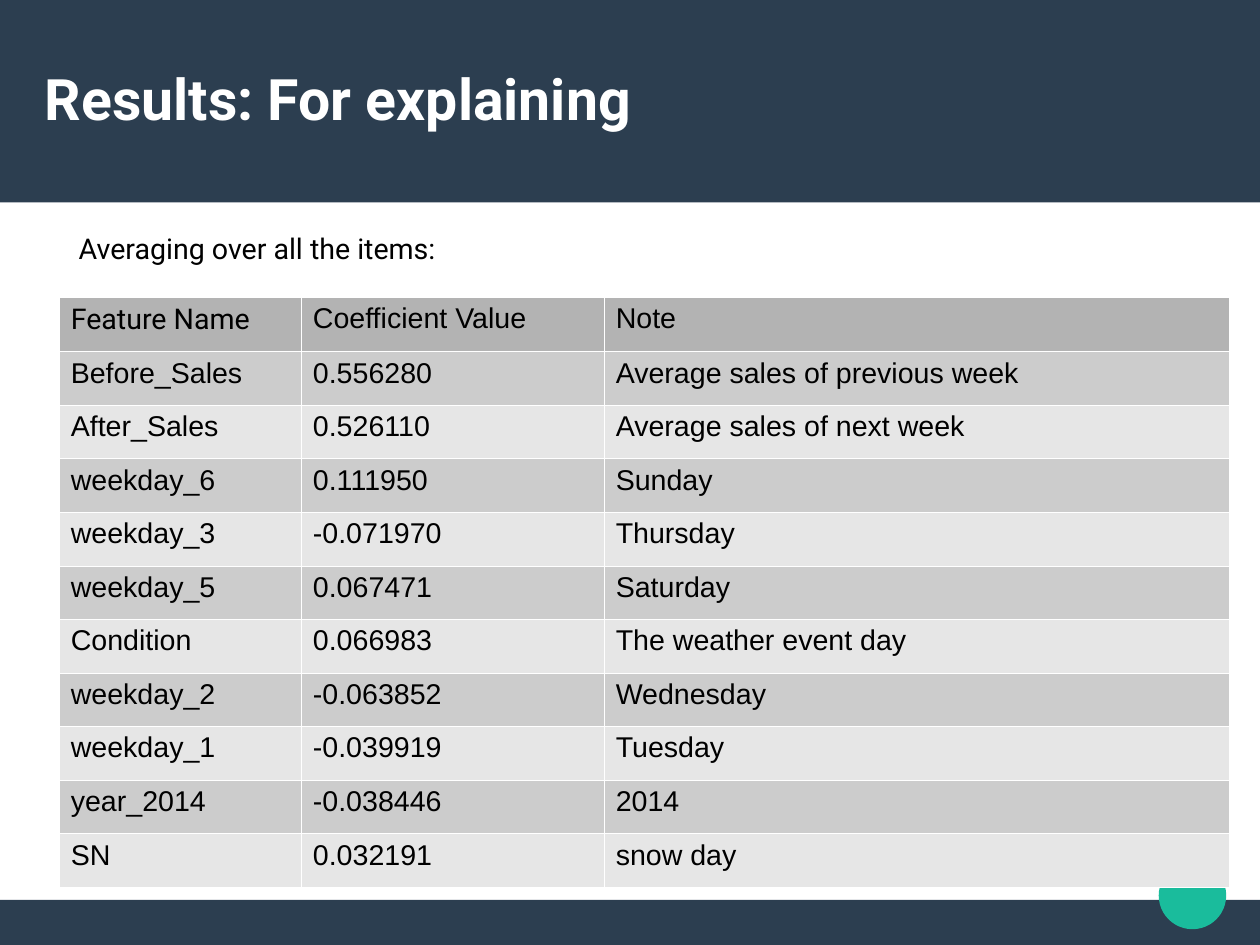
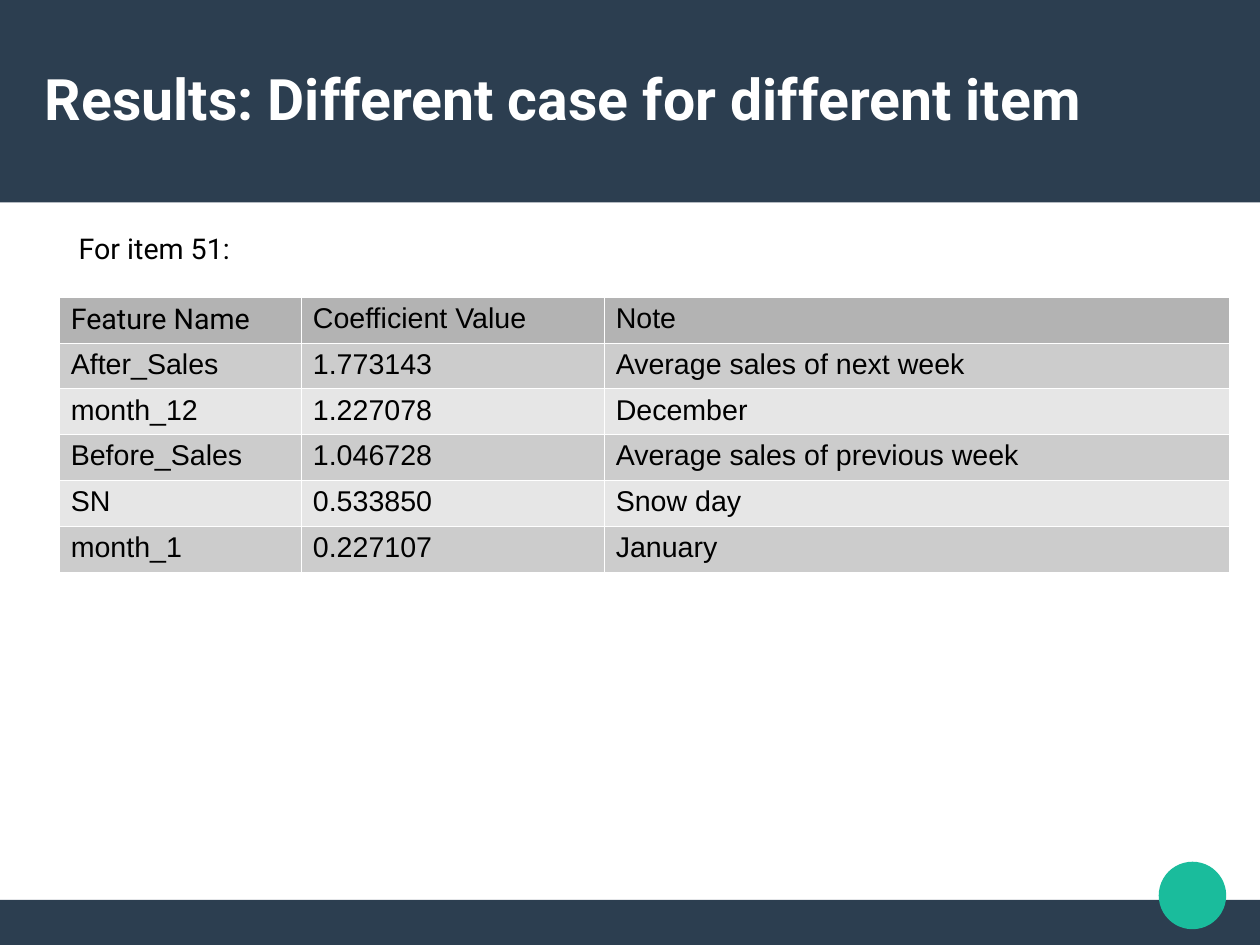
import pptx
import pptx.util
import pptx.dml.color
import pptx.enum.shapes
import pptx.enum.text
import pptx.oxml.ns
from lxml import etree

Cm = pptx.util.Cm
Pt = pptx.util.Pt
RGBColor = pptx.dml.color.RGBColor
MSO_SHAPE = pptx.enum.shapes.MSO_SHAPE

# The slide is a grid of one-centimetre columns and rows.
COLUMNS, ROWS = 28, 21
HEADER_ROWS, FOOTER_ROWS = 4.5, 1
TABLE_LEFT, TABLE_TOP = 1.32, 6.6
TABLE_COLUMNS = (5.38, 6.73, 13.89)
HEADING_EXTRA = 0.02

NAVY = RGBColor(0x2C, 0x3E, 0x50)
TEAL = RGBColor(0x1A, 0xBC, 0x9C)
WHITE = RGBColor(0xFF, 0xFF, 0xFF)
BLACK = RGBColor(0x00, 0x00, 0x00)
HEADING_GREY = RGBColor(0xB3, 0xB3, 0xB3)
ROW_GREYS = (RGBColor(0xE6, 0xE6, 0xE6), RGBColor(0xCC, 0xCC, 0xCC))

BORDER_WIDTH = Pt(0.06)

DECORATIONS = [
    (MSO_SHAPE.RECTANGLE, NAVY, (0, ROWS - FOOTER_ROWS, COLUMNS, FOOTER_ROWS)),
    (MSO_SHAPE.RECTANGLE, NAVY, (0, 0, COLUMNS, HEADER_ROWS)),
    (MSO_SHAPE.OVAL, TEAL, (25.75, 19.15, 1.5, 1.5)),
]

HEADINGS = ("Feature Name", "Coefficient Value", "Note")

# Title, caption, height of a table row, table rows
SLIDES = [
    ("Results: For explaining", "Averaging over all the items:", 1.19, [
        ("Before_Sales", "0.556280", "Average sales of previous week"),
        ("After_Sales", "0.526110", "Average sales of next week"),
        ("weekday_6", "0.111950", "Sunday"),
        ("weekday_3", "-0.071970", "Thursday"),
        ("weekday_5", "0.067471", "Saturday"),
        ("Condition", "0.066983", "The weather event day"),
        ("weekday_2", "-0.063852", "Wednesday"),
        ("weekday_1", "-0.039919", "Tuesday"),
        ("year_2014", "-0.038446", "2014"),
        ("SN", "0.032191", "snow day"),
    ]),
    ("Results: Different case for different item", "For item 51:", 0.97, [
        ("After_Sales", "1.773143", "Average sales of next week"),
        ("month_12", "1.227078", "December"),
        ("Before_Sales", "1.046728", "Average sales of previous week"),
        ("SN", "0.533850", "Snow day"),
        ("month_1", "0.227107", "January"),
    ]),
]


def write(frame, text, size=18, font="Roboto", color=BLACK, bold=False):
    frame.text = text
    frame.word_wrap = True
    style = frame.paragraphs[0].runs[0].font
    style.size, style.name, style.bold = Pt(size), font, bold
    style.color.rgb = color


def add_borders(cell):
    """Draw hairlines on all four sides; call before the cell is filled."""
    properties = cell._tc.get_or_add_tcPr()
    for side in ("lnL", "lnR", "lnT", "lnB"):
        line = etree.SubElement(properties, pptx.oxml.ns.qn(f"a:{side}"), w=str(BORDER_WIDTH))
        fill = etree.SubElement(line, pptx.oxml.ns.qn("a:solidFill"))
        etree.SubElement(fill, pptx.oxml.ns.qn("a:srgbClr"), val=str(WHITE))


deck = pptx.Presentation()
deck.slide_width, deck.slide_height = Cm(COLUMNS), Cm(ROWS)

for title, caption, row_height, records in SLIDES:
    page = deck.slides.add_slide(deck.slide_layouts[6])

    for kind, color, place in DECORATIONS:
        shape = page.shapes.add_shape(kind, *map(Cm, place))
        shape.shadow.inherit = False
        shape.fill.solid()
        shape.fill.fore_color.rgb = color
        shape.line.fill.background()

    title_frame = page.shapes.add_textbox(Cm(1), Cm(0.84), Cm(COLUMNS - 2), Cm(2.67)).text_frame
    title_frame.margin_left = title_frame.margin_right = 0
    title_frame.margin_top = title_frame.margin_bottom = 0
    title_frame.vertical_anchor = pptx.enum.text.MSO_ANCHOR.MIDDLE
    write(title_frame, title, size=36, color=WHITE, bold=True)

    lines = [HEADINGS] + records
    table = page.shapes.add_table(
        len(lines), len(HEADINGS), Cm(TABLE_LEFT), Cm(TABLE_TOP),
        Cm(sum(TABLE_COLUMNS)), Cm(row_height * len(lines) + HEADING_EXTRA)).table
    for column, width in zip(table.columns, TABLE_COLUMNS):
        column.width = Cm(width)
    for row_index, line in enumerate(lines):
        heading = row_index == 0
        table.rows[row_index].height = Cm(row_height + HEADING_EXTRA * heading)
        for column_index, text in enumerate(line):
            cell = table.cell(row_index, column_index)
            add_borders(cell)
            cell.fill.solid()
            cell.fill.fore_color.rgb = HEADING_GREY if heading else ROW_GREYS[row_index % 2]
            write(cell.text_frame, text,
                  font="Roboto" if heading and column_index == 0 else "Arial")

    caption_box = page.shapes.add_textbox(Cm(1.5), Cm(5), Cm(18.5), Cm(1))
    write(caption_box.text_frame, caption)

deck.save("out.pptx")
